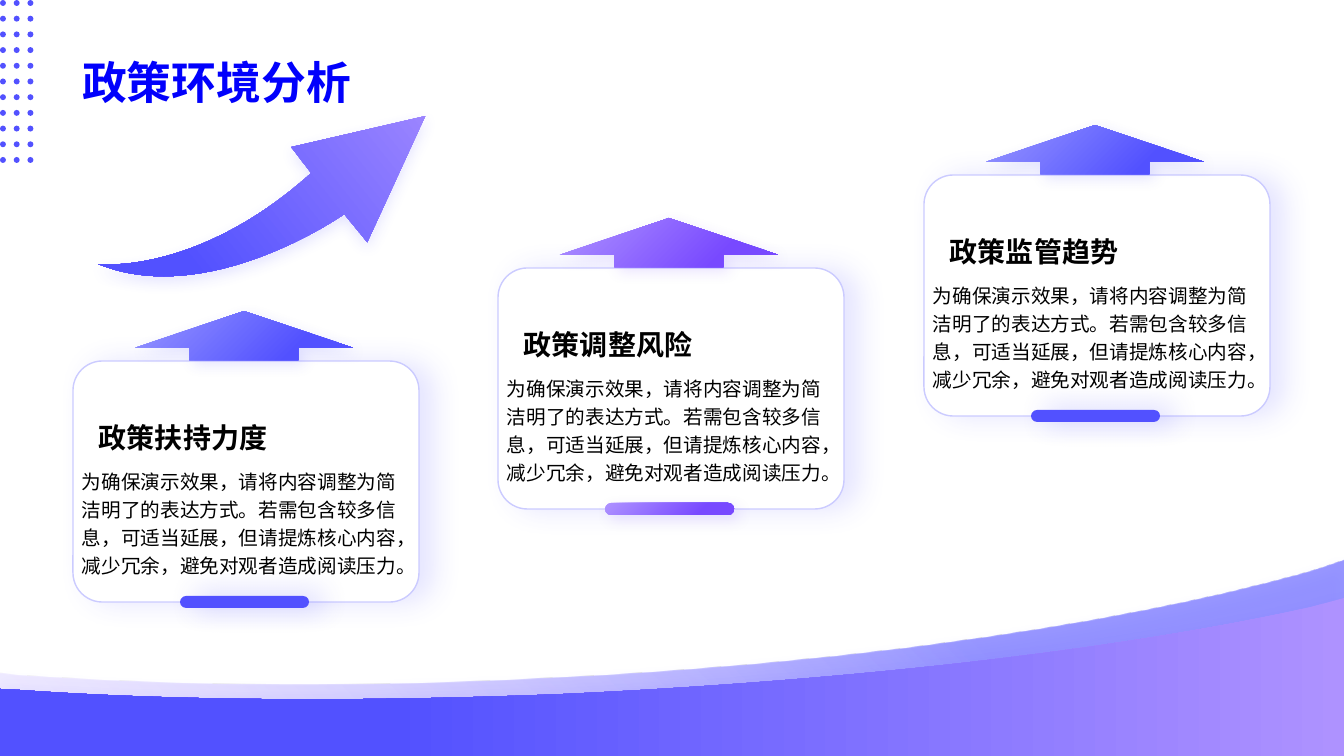
from math import cos, radians, sin

from lxml.etree import SubElement
from pptx import Presentation
from pptx.dml.color import RGBColor
from pptx.enum.shapes import MSO_SHAPE as Shape
from pptx.enum.text import MSO_ANCHOR as Anchor, MSO_AUTO_SIZE as AutoSize, PP_ALIGN as Align
from pptx.oxml.ns import qn
from pptx.util import Pt

PX = 914400 / 100.8
PAGE_WIDTH, PAGE_HEIGHT = 1344, 756

WHITE = RGBColor(0xFF, 0xFF, 0xFF)
BLACK = RGBColor(0x00, 0x00, 0x00)
TITLE_BLUE = RGBColor(0x01, 0x00, 0xFC)
BLUE = RGBColor(0x52, 0x51, 0xFF)
LIGHT_BLUE = RGBColor(0x97, 0x97, 0xFF)
PALE_BLUE = RGBColor(0xCB, 0xCB, 0xFF)
VIOLET = RGBColor(0x78, 0x49, 0xFF)
LILAC = RGBColor(0xAE, 0x92, 0xFF)

BODY = ("为确保演示效果，请将内容调整为简洁明了的表达方式。若需包含较多信息，"
        "可适当延展，但请提炼核心内容，减少冗余，避免对观者造成阅读压力。")
HEADINGS = ["政策扶持力度", "政策调整风险", "政策监管趋势"]

# Each outline step is a point, or the six numbers of a cubic curve.
BACK_WAVE = [(1344, 560), (1344, 756), (0, 756), (0, 673), (20, 675),
             (176, 686, 364, 688, 564, 677), (867, 662, 1135, 621, 1311, 571)]
FRONT_WAVE = [(1344, 598), (1344, 756), (0, 756), (0, 689), (20, 690),
              (176, 701, 364, 702, 564, 694), (867, 680, 1135, 647, 1311, 607)]
SWOOSH = [(425, 116), (367, 242), (344, 214), (331, 223, 203, 307, 98, 264),
          (98, 264, 196, 276, 311, 173), (291, 147)]
SWOOSH_CENTER = (281, 215)
SWOOSH_TURN = 321.5


def emu(*lengths):
    return [round(length * PX) for length in lengths]


def solid(shape, color):
    shape.fill.solid()
    shape.fill.fore_color.rgb = color


def gradient(shape, start, end, end_stop, angle, alphas=()):
    """Fill along a clockwise angle; alphas are percentages for the two stops."""
    shape.fill.gradient()
    shape.fill.gradient_angle = (360 - angle) % 360
    stops = shape.fill.gradient_stops
    for stop, color, position in zip(stops, (start, end), (0, end_stop)):
        stop.color.rgb = color
        stop.position = position / 100
    colors = shape._element.spPr.iter(qn("a:srgbClr"))
    for element, alpha in zip(list(colors), alphas):
        SubElement(element, qn("a:alpha"), val=str(alpha * 1000))


def shadow(shape, color, alpha, blur, distance, angle):
    shape.shadow.inherit = False
    effects = shape._element.spPr.find(qn("a:effectLst"))
    outer = SubElement(effects, qn("a:outerShdw"), blurRad=str(Pt(blur)),
                       dist=str(Pt(distance)), dir=str(angle * 60000),
                       algn="ctr", rotWithShape="0")
    tint = SubElement(outer, qn("a:srgbClr"), val=str(color))
    SubElement(tint, qn("a:alpha"), val=str(alpha * 1000))


def add_preset(page, kind, left, top, width, height, *adjustments):
    shape = page.shapes.add_shape(kind, *emu(left, top, width, height))
    shape.line.fill.background()
    for index, value in enumerate(adjustments):
        shape.adjustments[index] = value
    return shape


def pairs(step):
    return [step[index:index + 2] for index in range(0, len(step), 2)]


def add_outline(page, contours):
    """Draw closed contours of points and cubic curves as one shape."""
    builder = page.shapes.build_freeform(*emu(*contours[0][0]), scale=1.0)
    for index, contour in enumerate(contours):
        if index:
            builder.move_to(*emu(*contour[0]))
        points = [emu(*point) for step in contour[1:] for point in pairs(step)]
        builder.add_line_segments(points, close=True)
    shape = builder.convert_to_shape()

    lines = iter(list(shape._element.iter(qn("a:lnTo"))))
    for contour in contours:
        for step in contour[1:]:
            first, *others = [next(lines) for _ in pairs(step)]
            if others:
                curve = first.makeelement(qn("a:cubicBezTo"))
                first.addprevious(curve)
                for line in (first, *others):
                    curve.append(line[0])
                    line.getparent().remove(line)
    shape.line.fill.background()
    shape.shadow.inherit = False
    return shape


def circle(x, y, radius):
    """Outline of a circle as four cubic curves."""
    bend = 0.55 * radius
    contour = [(x + radius, y)]
    for dx, dy in ((1, 0), (0, 1), (-1, 0), (0, -1)):
        start = (x + dx * radius, y + dy * radius)
        end = (x - dy * radius, y + dx * radius)
        contour.append((start[0] - dy * bend, start[1] + dx * bend,
                        end[0] + dx * bend, end[1] + dy * bend, *end))
    return contour


def add_dots(page, columns=3, rows=11, radius=3):
    column_gap, row_gap = 13.75, 15.7
    solid(add_outline(page, [circle(radius + column * column_gap, radius + row * row_gap, radius)
                             for row in range(rows) for column in range(columns)]), BLUE)


def style_text(frame, text, size, color, bold, anchor):
    frame.word_wrap = True
    frame.auto_size = AutoSize.NONE
    frame.vertical_anchor = anchor
    frame.text = text
    para = frame.paragraphs[0]
    para.alignment = Align.LEFT
    para.line_spacing = 1.2
    para.space_before = Pt(0)
    para.font.name = "Arial"
    para.font.size = Pt(size)
    para.font.bold = bold
    para.font.color.rgb = color


def add_text(page, area, text, size, bold, anchor):
    box = page.shapes.add_textbox(*emu(*area))
    style_text(box.text_frame, text, size, BLACK, bold, anchor)


def add_title(page, text):
    title = page.shapes.title
    title.left, title.top, title.width, title.height = emu(72, 15, 1198, 99)
    style_text(title.text_frame, text, 32, TITLE_BLUE, True, Anchor.BOTTOM)


def add_card(page, left, top, heading, violet):
    card = add_preset(page, Shape.ROUNDED_RECTANGLE, left, top, 346, 241, 0.122)
    solid(card, WHITE)
    card.line.color.rgb = PALE_BLUE
    card.line.width = Pt(1)
    shadow(card, BLUE, 15, 20, 10, 0)

    bar = add_preset(page, Shape.ROUNDED_RECTANGLE, left + 107, top + 235, 129, 12, 0.5)
    if violet:
        gradient(bar, LILAC, VIOLET, 75, 45)
        shadow(bar, VIOLET, 15, 10, 5, 45)
    else:
        solid(bar, BLUE)
        shadow(bar, BLUE, 32, 20, 10, 0)

    add_text(page, (left - 1, top + 99, 346, 129), BODY, 14, False, Anchor.TOP)
    add_text(page, (left + 16, top + 21, 311, 77), heading, 20, True, Anchor.BOTTOM)

    arrow = add_preset(page, Shape.UP_ARROW, left + 62, top - 50, 218, 49, 0.5, 0.749)
    start, end = (LILAC, VIOLET) if violet else (LIGHT_BLUE, BLUE)
    gradient(arrow, start, end, 75, 45)
    shadow(arrow, end, 15, 10, 5, 45)


def turn_back(steps, center, degrees):
    """Undo a clockwise rotation of an outline about its center."""
    cosine, sine = cos(radians(degrees)), sin(radians(degrees))
    turned = []
    for step in steps:
        offsets = [(x - center[0], y - center[1]) for x, y in pairs(step)]
        turned.append(tuple(value for dx, dy in offsets
                            for value in (center[0] + dx * cosine + dy * sine,
                                          center[1] - dx * sine + dy * cosine)))
    return turned


def add_sweep(page, steps, angle, alphas=()):
    """Draw a curved outline shaded from lilac to blue."""
    sweep = add_outline(page, [steps])
    gradient(sweep, LILAC, BLUE, 71, angle, alphas)
    shadow(sweep, BLUE, 15, 10, 4, 90)
    return sweep


def main():
    deck = Presentation()
    deck.slide_width, deck.slide_height = emu(PAGE_WIDTH, PAGE_HEIGHT)
    page = deck.slides.add_slide(deck.slide_layouts[5])
    add_dots(page)
    add_title(page, "政策环境分析")
    for index, heading in enumerate(HEADINGS):
        add_card(page, 73 + 851 * index // 2, 361 - 93 * index, heading, index == 1)
    add_sweep(page, BACK_WAVE, 315, (15, 59))
    add_sweep(page, FRONT_WAVE, 180)
    swoosh = add_sweep(page, turn_back(SWOOSH, SWOOSH_CENTER, SWOOSH_TURN), 180)
    swoosh.rotation = SWOOSH_TURN
    deck.save("out.pptx")


if __name__ == "__main__":
    main()
